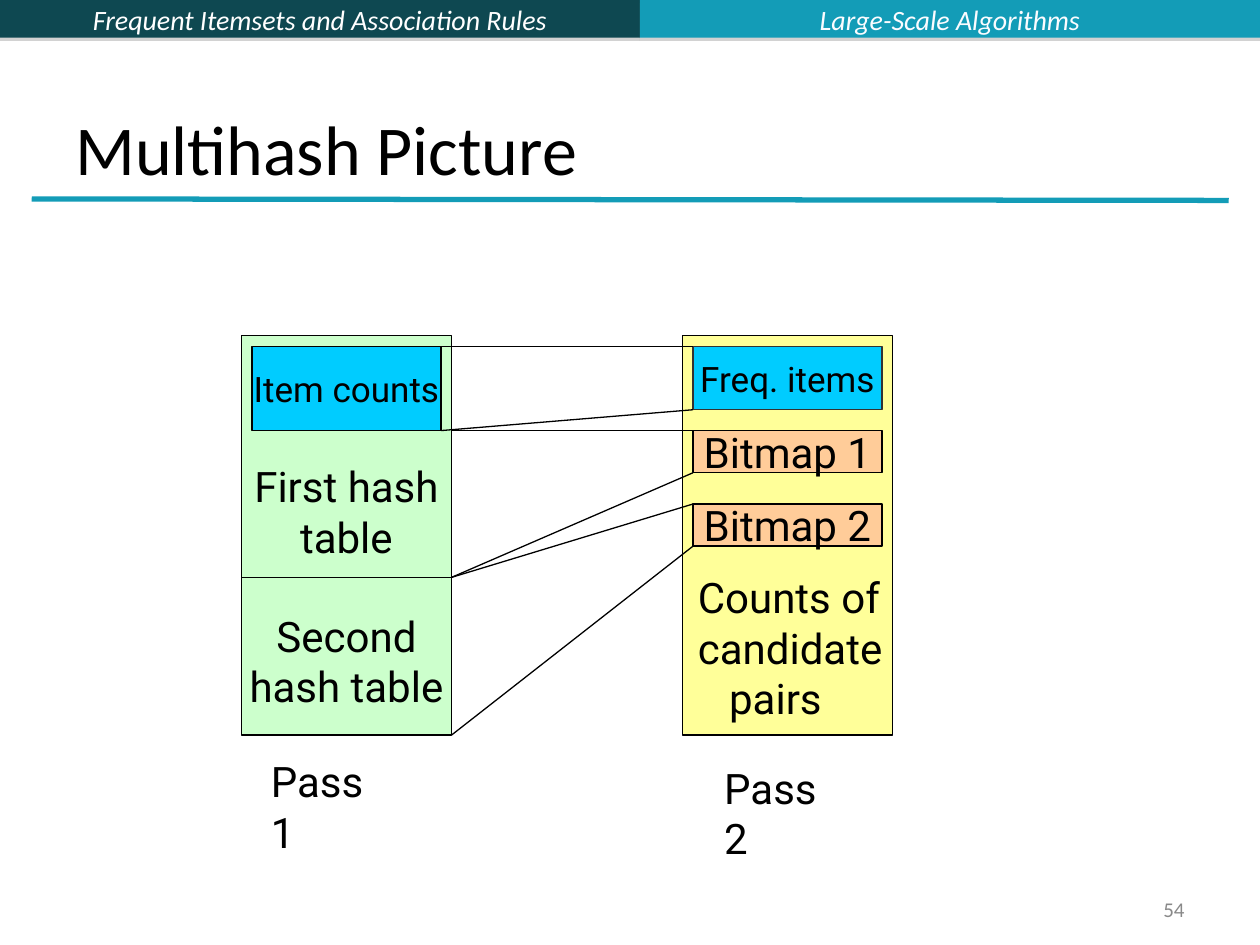
from lxml import etree
from pptx import Presentation, util as u
from pptx.dml.color import RGBColor
from pptx.enum import shapes, text
from pptx.oxml.ns import qn

CENTER, LEFT, RIGHT = text.PP_ALIGN.CENTER, text.PP_ALIGN.LEFT, text.PP_ALIGN.RIGHT
MIDDLE, TOP, BOTTOM = text.MSO_ANCHOR.MIDDLE, text.MSO_ANCHOR.TOP, text.MSO_ANCHOR.BOTTOM

deck = Presentation()
deck.slide_width, deck.slide_height = u.Cm(25.4), u.Cm(19.05)
page = deck.slides.add_slide(deck.slide_layouts[6])


def add_box(left, top, width, height, words="", fill=None, line=None, size=24, font="Roboto",
            color="000000", italic=False, align=CENTER, anchor=MIDDLE, wrap=False):
    """Add a rectangle in cm; each line of words becomes a paragraph."""
    place = [u.Cm(n) for n in (left, top, width, height)]
    if fill:
        box = page.shapes.add_shape(shapes.MSO_SHAPE.RECTANGLE, *place)
        box.shadow.inherit = False
        box.fill.solid()
        box.fill.fore_color.rgb = RGBColor.from_string(fill)
        if line:
            box.line.color.rgb = RGBColor.from_string(line)
            box.line.width = u.Pt(0.75)
        else:
            box.line.fill.background()
    else:
        box = page.shapes.add_textbox(*place)
    frame = box.text_frame
    frame.word_wrap = wrap
    frame.vertical_anchor = anchor
    frame.text = words
    for para in frame.paragraphs:
        para.alignment = align
        for span in para.runs:
            span.font.size = u.Pt(size)
            span.font.name = font
            span.font.italic = italic
            span.font.color.rgb = RGBColor.from_string(color)
    return box


def add_line(x1, y1, x2, y2, color="000000", width=0.75):
    line = page.shapes.add_connector(shapes.MSO_CONNECTOR.STRAIGHT,
                                     u.Cm(x1), u.Cm(y1), u.Cm(x2), u.Cm(y2))
    line.line.color.rgb = RGBColor.from_string(color)
    line.line.width = u.Pt(width)
    etree.SubElement(line._element.spPr, qn("a:effectLst"))


# Header bars with a thin grey shadow below
for left, width, words, fill, color in (
        (0, 12.9, "Frequent Itemsets and Association Rules", "0E4851", "FFFFFF"),
        (12.9, 12.5, "Large-Scale Algorithms", "139CB7", "FBFCFF")):
    bar = add_box(left, 0, width, 0.76, words, fill=fill, size=16, font="Calibri",
                  color=color, italic=True, wrap=True)
    effects = bar._element.spPr.find(qn("a:effectLst"))
    shadow = etree.SubElement(effects, qn("a:outerShdw"), dist=str(u.Pt(1.8)), dir="5400000",
                              algn="ctr", rotWithShape="0")
    tint = etree.SubElement(shadow, qn("a:srgbClr"), val="808080")
    etree.SubElement(tint, qn("a:alpha"), val="35000")

# Title, rule and page number
add_line(0.64, 4.01, 24.77, 4.04, color="139CB7", width=3)
add_box(1.27, 0.76, 22.86, 3.18, "Multihash Picture", size=40, font="Calibri",
        align=LEFT, anchor=BOTTOM, wrap=True)
add_box(18.21, 17.98, 5.92, 0.69, "54", size=12, font="Calibri", color="898989",
        align=RIGHT, wrap=True)

# Memory in each pass
memory_top, memory_width, memory_height = 6.77, 4.23, 8.05
pass1_left, pass2_left = 4.87, 13.76
pass1_right, memory_bottom = pass1_left + memory_width, memory_top + memory_height
tables = add_box(pass1_left, memory_top, memory_width, memory_height,
                 "First hash\ntable\nSecond\nhash table", fill="CCFFCC", line="000000",
                 anchor=BOTTOM)
tables.text_frame.margin_bottom = u.Cm(0.48)
tables.text_frame.paragraphs[2].space_before = u.Pt(28)
add_box(pass2_left, memory_top, memory_width, memory_height, fill="FFFF99", line="000000")

# Parts inside the memory
part1_left, part2_left, part_width = 5.08, 13.97, 3.81
items_top, counts_bottom, freq_bottom = 6.99, 8.68, 8.26
bitmap_height, bitmap_tops = 0.85, (8.68, 10.16)
tables_split = 11.64
add_box(part1_left, items_top, part_width, counts_bottom - items_top, "Item counts",
        fill="00CCFF", line="000000", size=20)
add_box(part2_left, items_top, part_width, freq_bottom - items_top, "Freq. items",
        fill="00CCFF", line="333333", size=20)
for number, top in enumerate(bitmap_tops, 1):
    add_box(part2_left, top, part_width, bitmap_height, f"Bitmap {number}",
            fill="FFCC99", line="000000")
pairs = add_box(13.82, 11.4, 4.42, 3.3, "Counts of\ncandidate\npairs",
                align=LEFT, anchor=TOP, wrap=True)
pairs.text_frame.paragraphs[2]._p.get_or_add_pPr().set("marL", str(u.Cm(0.63)))

# Lines from each structure of pass 1 to what it becomes in pass 2
add_line(pass1_left, tables_split, pass1_right, tables_split)
part1_right = part1_left + part_width
for x, start, end in (
        (part1_right, items_top, items_top),
        (part1_right, counts_bottom, freq_bottom),
        (pass1_right, counts_bottom, bitmap_tops[0]),
        (pass1_right, tables_split, bitmap_tops[0] + bitmap_height),
        (pass1_right, tables_split, bitmap_tops[1]),
        (pass1_right, memory_bottom, bitmap_tops[1] + bitmap_height)):
    add_line(x, start, part2_left, end)

for left, top, words in ((5.21, 15.11, "Pass 1"), (14.35, 15.24, "Pass 2")):
    add_box(left, top, 2.95, 1.27, words, align=LEFT, anchor=TOP, wrap=True)

deck.save("out.pptx")
